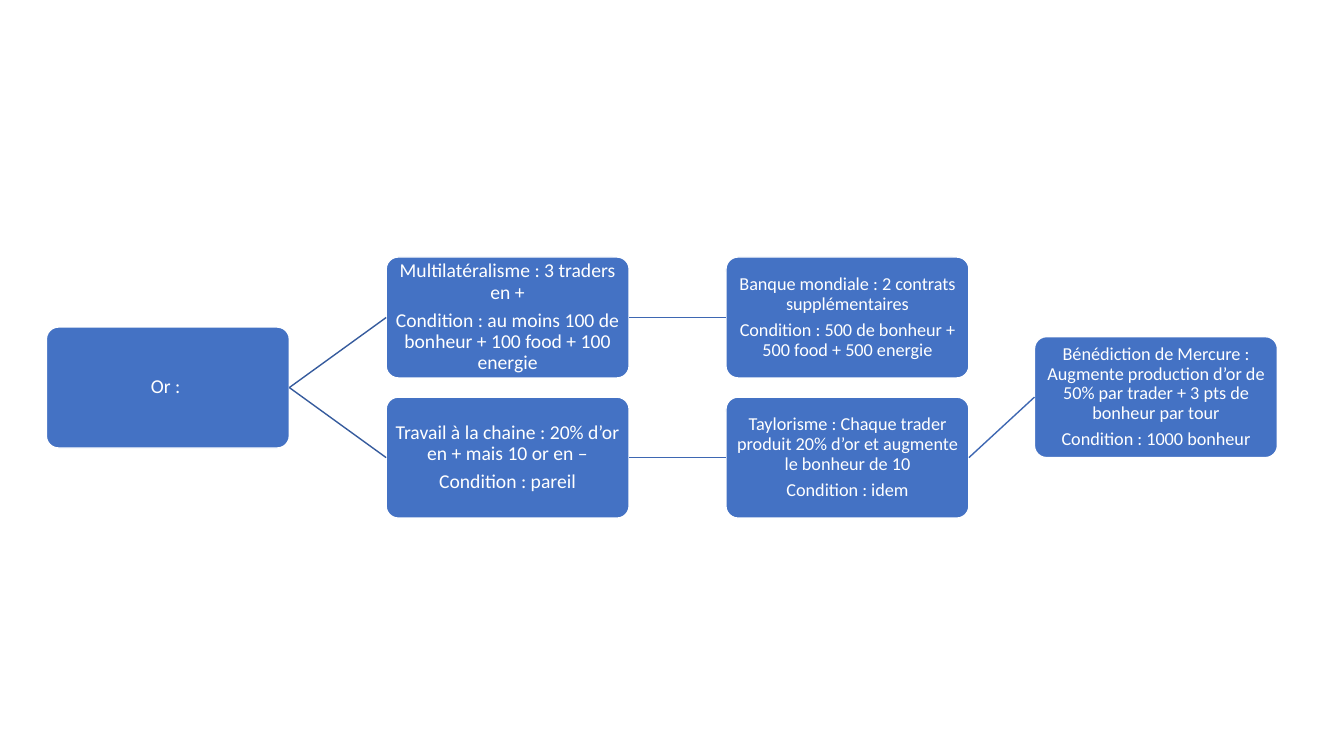
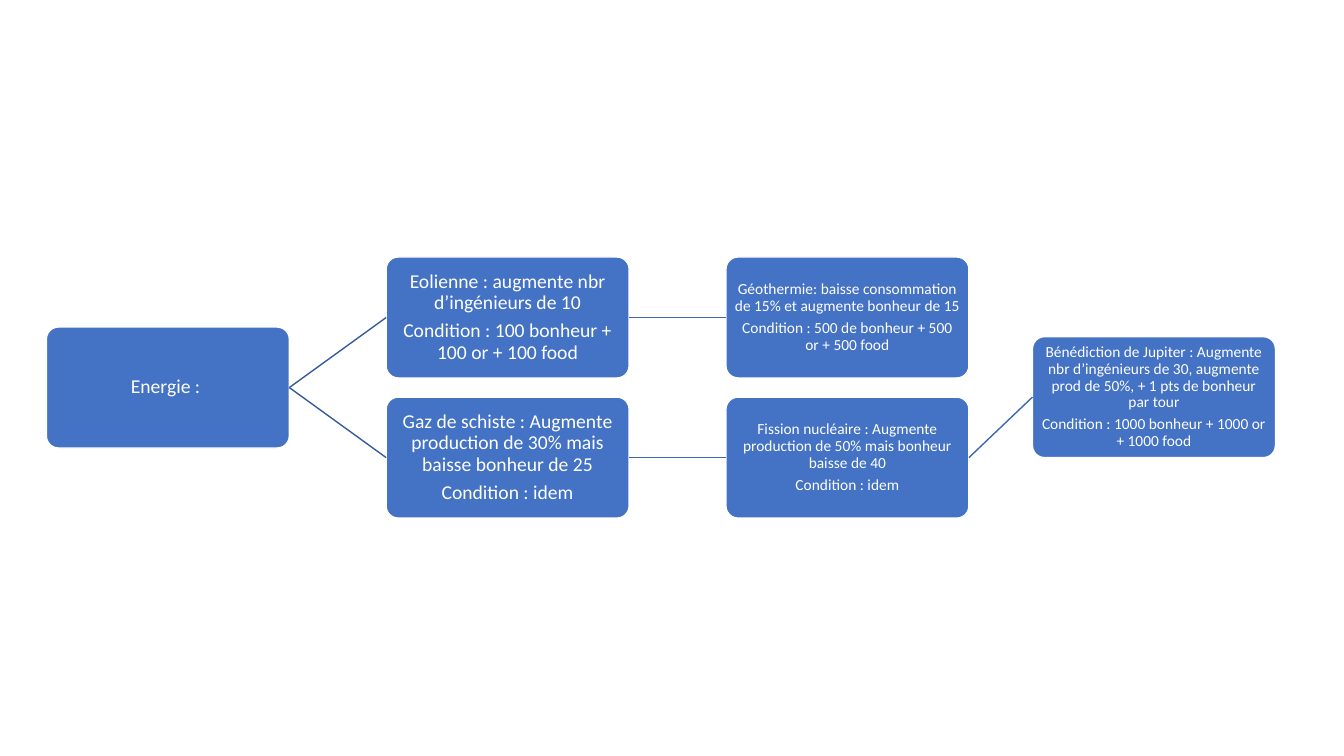
import pptx
import pptx.dml.color
import pptx.enum.shapes
import pptx.enum.text
import pptx.oxml.ns
import pptx.util
from lxml import etree

Inches = pptx.util.Inches
Pt = pptx.util.Pt
RGBColor = pptx.dml.color.RGBColor

WHITE = RGBColor(0xFF, 0xFF, 0xFF)
NODE_BLUE = RGBColor(0x44, 0x72, 0xC4)
ROOT_LINK = RGBColor(0x36, 0x5B, 0x9D)
BRANCH_LINK = RGBColor(0x3E, 0x67, 0xB2)
FONT = "Calibri"

NODE_WIDTH = Inches(2.41)
NODE_HEIGHT = Inches(1.2)
COLUMN_PITCH = Inches(3.37)
ROW_PITCH = Inches(1.39)
NODE_INSET = Inches(0.05)
LEFT_SITE, RIGHT_SITE = 1, 3


def add_node(slide, left, top, lines, size):
    """Rounded box with one centred paragraph per line."""
    node = slide.shapes.add_shape(
        pptx.enum.shapes.MSO_SHAPE.ROUNDED_RECTANGLE,
        left, top, NODE_WIDTH, NODE_HEIGHT)
    node.adjustments[0] = 0.1
    node.shadow.inherit = False
    node.fill.solid()
    node.fill.fore_color.rgb = NODE_BLUE
    node.line.color.rgb = WHITE
    node.line.width = Pt(1)

    frame = node.text_frame
    frame.word_wrap = True
    frame.vertical_anchor = pptx.enum.text.MSO_ANCHOR.MIDDLE
    frame.margin_left = frame.margin_right = NODE_INSET
    frame.margin_top = frame.margin_bottom = NODE_INSET
    for index, line in enumerate(lines):
        paragraph = frame.add_paragraph() if index else frame.paragraphs[0]
        paragraph.alignment = pptx.enum.text.PP_ALIGN.CENTER
        paragraph.line_spacing = 0.9
        paragraph.space_after = Pt(0.35 * size)
        run = paragraph.add_run()
        run.text = line
        run.font.name = FONT
        run.font.size = Pt(size)
        run.font.color.rgb = WHITE
    return node


def add_link(slide, parent, child, color):
    """Straight line from the parent's right side to the child's left side."""
    link = slide.shapes.add_connector(
        pptx.enum.shapes.MSO_CONNECTOR.STRAIGHT, 0, 0, 0, 0)
    link.begin_connect(parent, RIGHT_SITE)
    link.end_connect(child, LEFT_SITE)
    link.line.color.rgb = color
    link.line.width = Pt(1)
    etree.SubElement(link._element.spPr, pptx.oxml.ns.qn("a:effectLst"))


def add_tech_tree(slide, left, top, width, tree):
    """Root, two branches of two steps each, and a final blessing."""
    lower_top = top + ROW_PITCH
    size, late_size = tree["size"], tree["late_size"]

    # Root, centred between the two rows
    root = add_node(slide, left, top + ROW_PITCH // 2, [tree["root"]], size)

    # Branches
    for row, (first_lines, second_lines) in enumerate(tree["branches"]):
        row_top = top + row * ROW_PITCH
        first = add_node(slide, left + COLUMN_PITCH, row_top, first_lines, size)
        second = add_node(slide, left + 2 * COLUMN_PITCH, row_top,
                          second_lines, late_size)
        add_link(slide, root, first, ROOT_LINK)
        add_link(slide, first, second, BRANCH_LINK)

    # Blessing, at the right edge and half a node above the lower row
    blessing = add_node(slide, left + width - NODE_WIDTH,
                        lower_top - NODE_HEIGHT // 2,
                        tree["blessing"], late_size)
    add_link(slide, second, blessing, BRANCH_LINK)


GOLD = {
    "root": "Or : ",
    "size": 14,
    "late_size": 13,
    "branches": [
        (["Multilatéralisme : 3 traders en +",
          "Condition : au moins 100 de bonheur + 100 food + 100 energie"],
         ["Banque mondiale : 2 contrats supplémentaires",
          "Condition : 500 de bonheur + 500 food + 500 energie"]),
        (["Travail à la chaine : 20% d’or en + mais 10 or en –",
          "Condition : pareil"],
         ["Taylorisme : Chaque trader produit 20% d’or et augmente le "
          "bonheur de 10",
          "Condition : idem"]),
    ],
    "blessing": ["Bénédiction de Mercure : Augmente production d’or de 50% "
                 "par trader + 3 pts de bonheur par tour",
                 "Condition : 1000 bonheur"],
}

ENERGY = {
    "root": "Energie : ",
    "size": 14,
    "late_size": 11,
    "branches": [
        (["Eolienne : augmente nbr d’ingénieurs de 10",
          "Condition : 100 bonheur + 100 or + 100 food"],
         ["Géothermie: baisse consommation de 15% et augmente bonheur de 15",
          "Condition : 500 de bonheur + 500 or + 500 food"]),
        (["Gaz de schiste : Augmente production de 30% mais baisse bonheur "
          "de 25",
          "Condition : idem"],
         ["Fission nucléaire : Augmente production de 50% mais bonheur "
          "baisse de 40",
          "Condition : idem"]),
    ],
    "blessing": ["Bénédiction de Jupiter : Augmente nbr d’ingénieurs de 30, "
                 "augmente prod de 50%, + 1 pts de bonheur par tour",
                 "Condition : 1000 bonheur + 1000 or + 1000 food"],
}

deck = pptx.Presentation()
deck.slide_width = Inches(13.33)
deck.slide_height = Inches(7.5)
blank_layout = deck.slide_layouts[6]

for tree, tree_width in ((GOLD, 12.21), (ENERGY, 12.19)):
    add_tech_tree(deck.slides.add_slide(blank_layout), Inches(0.46),
                  Inches(2.55), Inches(tree_width), tree)

deck.save("out.pptx")
